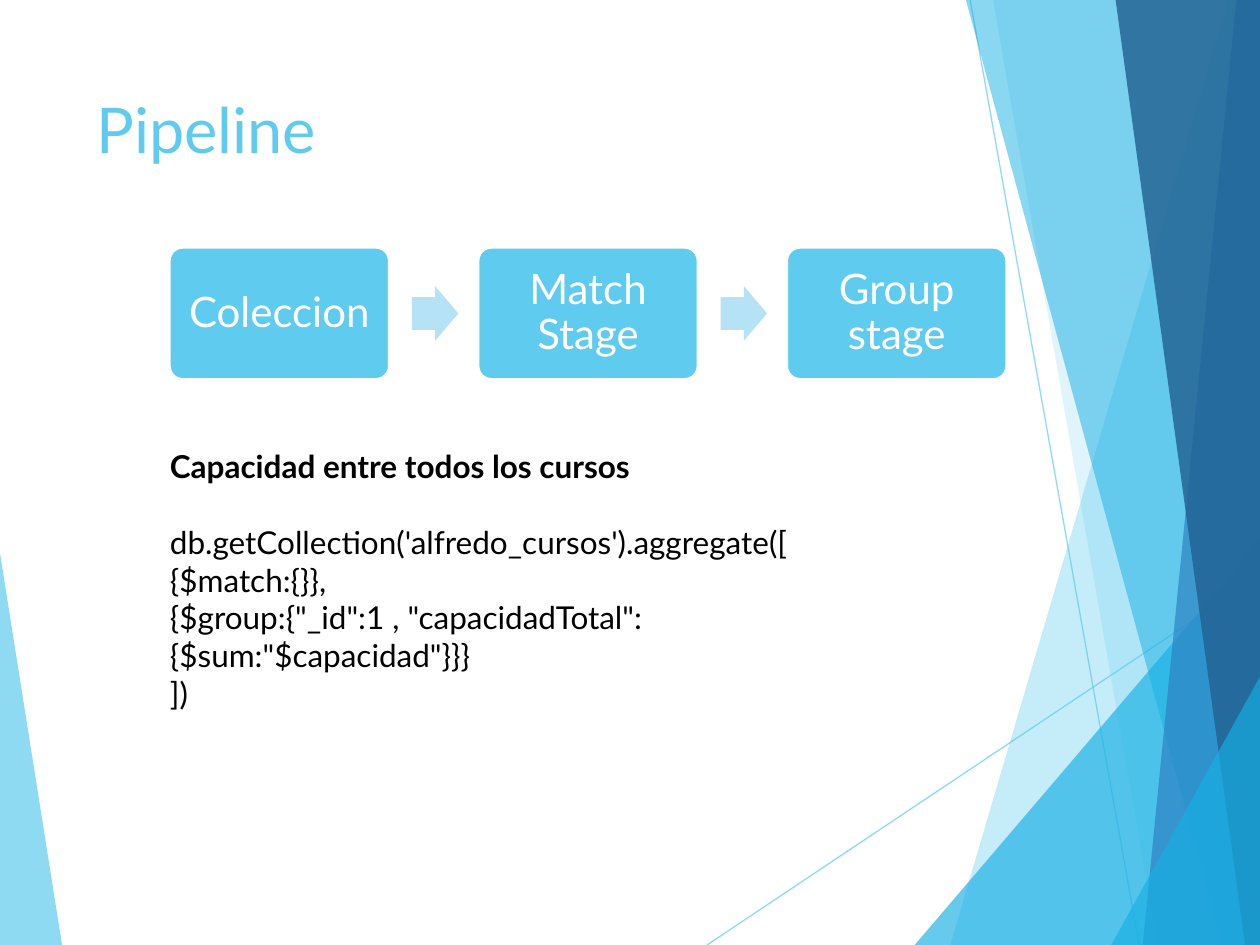
from pptx import Presentation
from pptx.dml.color import RGBColor
from pptx.enum.shapes import MSO_CONNECTOR, MSO_SHAPE
from pptx.enum.text import MSO_ANCHOR, PP_ALIGN
from pptx.oxml.ns import qn
from pptx.util import Pt
from lxml.etree import SubElement

WIDTH, HEIGHT = 720, 540
FONT = "Lato"
SKY, BRIGHT, BLUE, NAVY = "5FCBEF", "17B0E4", "2E83C3", "226292"
PALE, WHITE, BLACK = "B6E2F6", "FFFFFF", "000000"

TITLE = "Pipeline"
STAGES = ["Coleccion", "Match Stage", "Group stage"]
HEADING = "Capacidad entre todos los cursos"
CODE = [
    "db.getCollection('alfredo_cursos').aggregate([",
    "{$match:{}},",
    '{$group:{"_id":1 , "capacidadTotal":{$sum:"$capacidad"}}}',
    "])",
]
RAYS = [((404, 540), (720, 329)), ((554.4, 0), (651, 540))]
LEFT_FACET = ([(0, 316), (35.5, 540), (0, 540)], SKY, 70)
RIGHT_FACETS = [
    ([(702, 0), (543, 540), (721, 540), (721, 0)], SKY, 36),
    ([(567.5, 0), (661.5, 540), (720.5, 540), (720.5, 0)], SKY, 20),
    ([(522.7, 540), (720, 309), (720.5, 540)], BRIGHT, 66),
    ([(552, 0), (698.5, 540), (720.5, 540), (720.5, 0)], BRIGHT, 50),
    ([(706.5, 0), (653, 540), (720.5, 540), (720.5, 0)], BLUE, 70),
    ([(637.5, 0), (711.5, 540), (721, 540), (720, 0)], NAVY, 82),
    ([(635, 540), (721, 385), (721, 540)], BRIGHT, 66),
]
STAGE_LEFT, STAGE_TOP, STAGE_WIDTH, STAGE_HEIGHT = 96.8, 141.4, 125.6, 75.4
STAGE_STEP = 176.4
ARROW_OFFSET, ARROW_WIDTH, ARROW_HEIGHT = 138.6, 26.6, 31.2


def paint(color_format, color, alpha=100):
    color_format.rgb = RGBColor.from_string(color)
    if alpha < 100:
        color_element = next(color_format._xFill.iter(qn("a:srgbClr")))
        SubElement(color_element, qn("a:alpha"), val=str(alpha * 1000))


def fill_shape(shape, color, alpha=100, border=None):
    shape.shadow.inherit = False
    shape.fill.solid()
    paint(shape.fill.fore_color, color, alpha)
    if border:
        paint(shape.line.color, border)
        shape.line.width = Pt(1.5)
    else:
        shape.line.fill.background()


def write(paragraph, text, size=18, color=BLACK, bold=False,
          align=PP_ALIGN.LEFT, spacing=None, after=0):
    run = paragraph.add_run()
    run.text = text
    run.font.name, run.font.size, run.font.bold = FONT, Pt(size), bold
    paint(run.font.color, color)
    paragraph.alignment = align
    paragraph.line_spacing = spacing
    paragraph.space_after = Pt(after)


def add_facet(slide, points, color, alpha):
    corners = [(Pt(x), Pt(y)) for x, y in points]
    builder = slide.shapes.build_freeform(*corners[0])
    builder.add_line_segments(corners[1:])
    fill_shape(builder.convert_to_shape(), color, alpha)


def add_ray(slide, start, end):
    ray = slide.shapes.add_connector(
        MSO_CONNECTOR.STRAIGHT, *(Pt(value) for value in start + end))
    ray.line.width = Pt(0.75)
    ray.line.fill.solid()
    paint(ray.line.color, SKY, 70)
    SubElement(ray._element.spPr, qn("a:effectLst"))


def add_preset(slide, kind, left, top, width, height, adjustments):
    shape = slide.shapes.add_shape(kind, Pt(left), Pt(top), Pt(width), Pt(height))
    for index, value in enumerate(adjustments):
        shape.adjustments[index] = value
    return shape


def add_pipeline(slide):
    for index, name in enumerate(STAGES):
        left = STAGE_LEFT + index * STAGE_STEP
        if index:
            arrow = add_preset(
                slide, MSO_SHAPE.RIGHT_ARROW, left - STAGE_STEP + ARROW_OFFSET,
                STAGE_TOP + (STAGE_HEIGHT - ARROW_HEIGHT) / 2,
                ARROW_WIDTH, ARROW_HEIGHT, [0.6, 0.5])
            fill_shape(arrow, PALE)
        stage = add_preset(slide, MSO_SHAPE.ROUNDED_RECTANGLE, left, STAGE_TOP,
                           STAGE_WIDTH, STAGE_HEIGHT, [0.1])
        fill_shape(stage, SKY, border=WHITE)
        frame = stage.text_frame
        frame.word_wrap = True
        frame.vertical_anchor = MSO_ANCHOR.MIDDLE
        frame.margin_left = frame.margin_right = Pt(7.2)
        frame.margin_top = frame.margin_bottom = Pt(7.2)
        write(frame.paragraphs[0], name, size=24, color=WHITE,
              align=PP_ALIGN.CENTER, spacing=0.9)


def add_title(slide):
    title = slide.shapes.title
    title.left, title.top, title.width, title.height = Pt(48), Pt(48), Pt(500), Pt(104)
    title.text_frame.vertical_anchor = MSO_ANCHOR.TOP
    write(title.text_frame.paragraphs[0], TITLE, size=36, color=SKY)


def add_query(slide):
    frame = slide.shapes.add_textbox(Pt(90), Pt(252), Pt(414), Pt(160)).text_frame
    frame.word_wrap = True
    write(frame.paragraphs[0], HEADING, bold=True, after=21.6)
    for line in CODE:
        write(frame.add_paragraph(), line)


def main():
    """Build the pipeline slide and save it."""
    presentation = Presentation()
    presentation.slide_width, presentation.slide_height = Pt(WIDTH), Pt(HEIGHT)
    slide = presentation.slides.add_slide(presentation.slide_layouts[5])
    add_facet(slide, *LEFT_FACET)
    for ray in RAYS:
        add_ray(slide, *ray)
    for facet in RIGHT_FACETS:
        add_facet(slide, *facet)
    add_title(slide)
    add_pipeline(slide)
    add_query(slide)
    presentation.save("out.pptx")


if __name__ == "__main__":
    main()
